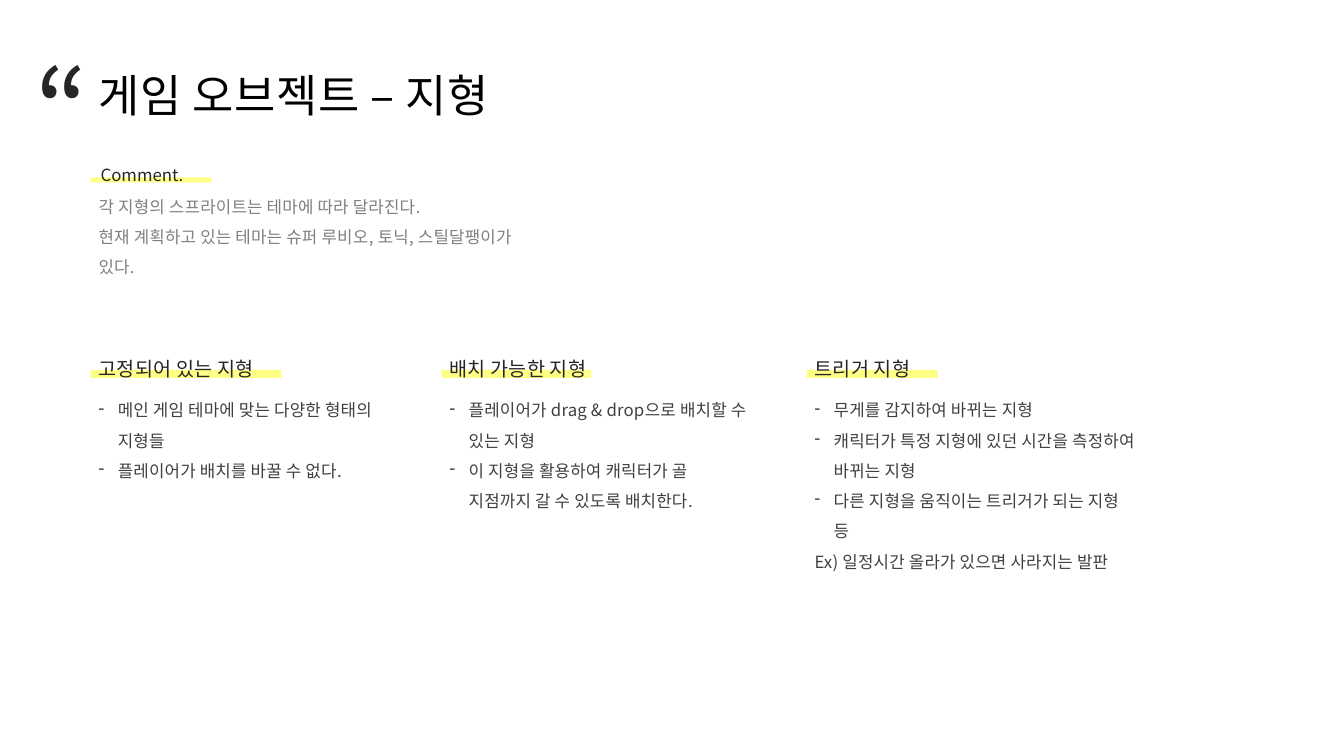
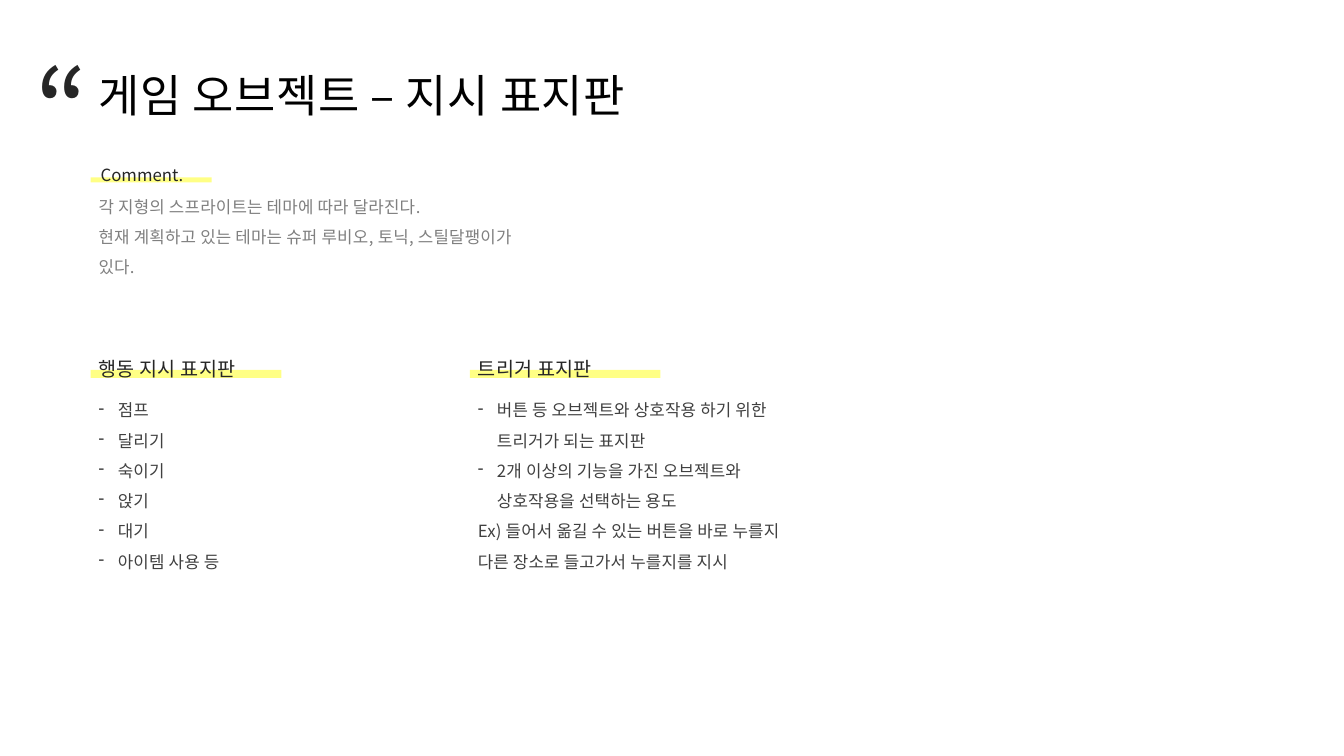
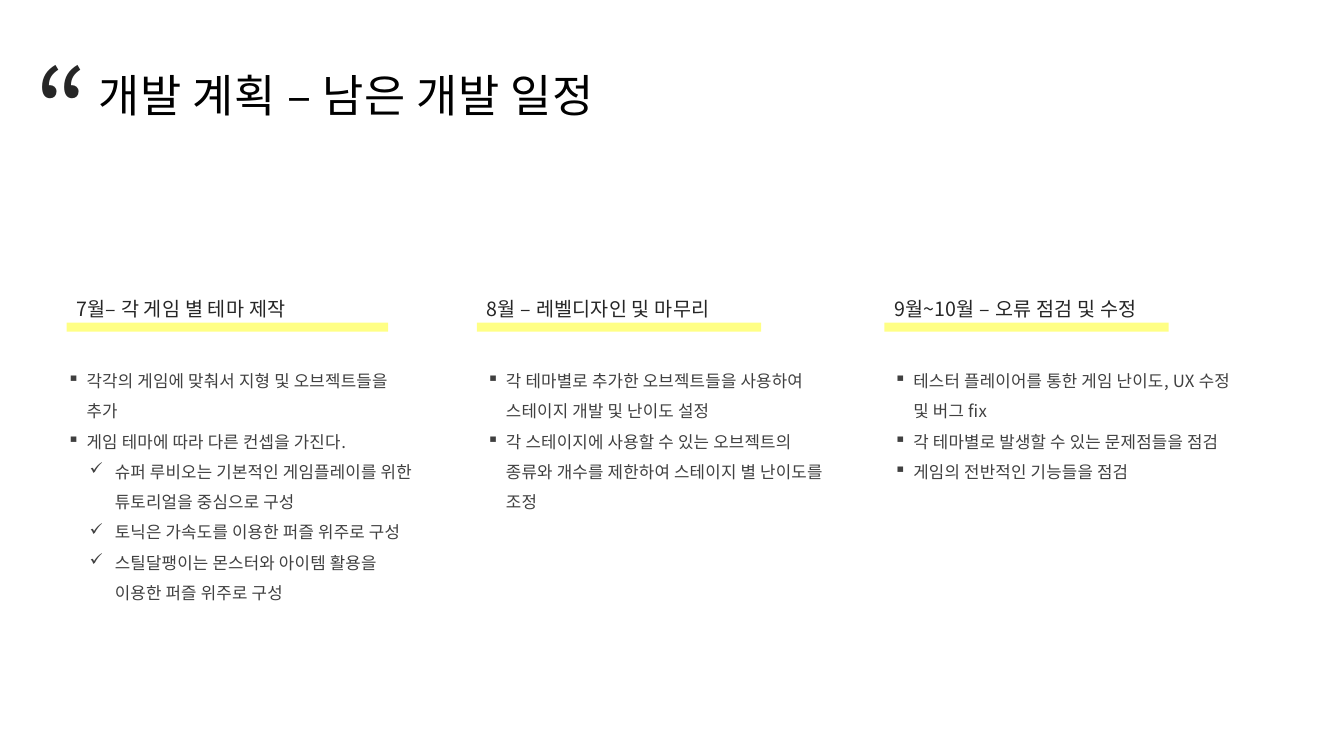
from lxml import etree
from pptx import Presentation
from pptx.dml.color import RGBColor
from pptx.enum.shapes import MSO_SHAPE
from pptx.enum.text import MSO_ANCHOR, MSO_AUTO_SIZE, PP_ALIGN
from pptx.oxml.ns import qn
from pptx.util import Inches, Pt

RECTANGLE = MSO_SHAPE.RECTANGLE
TOP = MSO_ANCHOR.TOP
GROW = MSO_AUTO_SIZE.SHAPE_TO_FIT_TEXT
LEFT = PP_ALIGN.LEFT

FONT = "Noto Sans CJK KR"
BLACK = RGBColor(0x00, 0x00, 0x00)
INK = RGBColor(0x26, 0x26, 0x26)
BODY_GRAY = RGBColor(0x40, 0x40, 0x40)
COMMENT_GRAY = RGBColor(0x80, 0x80, 0x80)
YELLOW = RGBColor(0xFF, 0xFF, 0x00)
BAR_OPACITY = 48000

FRAME_FORMAT = {"word_wrap": True, "auto_size": GROW, "vertical_anchor": TOP}
TITLE_STYLE = {"size": Pt(32), "color": BLACK, "spacing": 1.0, "tracking": 40}
QUOTE_STYLE = {"size": Pt(80), "color": INK, "spacing": 1.0, "tracking": 0}
HEADING_STYLE = {"size": Pt(14), "color": INK, "spacing": 1.5, "tracking": 15}
LABEL_STYLE = {"size": Pt(12), "color": INK, "spacing": 1.5, "tracking": 0}
BODY_STYLE = {"size": Pt(12), "color": BODY_GRAY, "spacing": 1.5, "tracking": 15}
COMMENT_STYLE = {"size": Pt(12), "color": COMMENT_GRAY, "spacing": 1.5, "tracking": 15}

BULLETS = {
    "-": {"level": 0, "margin": 0.19, "hanging": 0.19},
    "▪": {"level": 0, "margin": 0.19, "hanging": 0.19},
    "✓": {"level": 1, "margin": 0.47, "hanging": 0.25},
}

COMMENT_LINES = [
    "각 지형의 스프라이트는 테마에 따라 달라진다.",
    "현재 계획하고 있는 테마는 슈퍼 루비오, 토닉, 스틸달팽이가 있다.",
]

TERRAIN_SECTIONS = [
    {"left": 0.88, "bar_width": 1.89, "body_width": 3.06,
     "heading": "고정되어 있는 지형",
     "items": [("-", "메인 게임 테마에 맞는 다양한 형태의 지형들"),
               ("-", "플레이어가 배치를 바꿀 수 없다.")]},
    {"left": 4.36, "bar_width": 1.48, "body_width": 3.15,
     "heading": "배치 가능한 지형",
     "items": [("-", "플레이어가 drag & drop으로 배치할 수 있는 지형"),
               ("-", "이 지형을 활용하여 캐릭터가 골 지점까지 갈 수 있도록 배치한다.")]},
    {"left": 7.98, "bar_width": 1.3, "body_width": 3.39,
     "heading": "트리거 지형",
     "items": [("-", "무게를 감지하여 바뀌는 지형"),
               ("-", "캐릭터가 특정 지형에 있던 시간을 측정하여 바뀌는 지형"),
               ("-", "다른 지형을 움직이는 트리거가 되는 지형 등"),
               (None, "Ex) 일정시간 올라가 있으면 사라지는 발판")]},
]

SIGN_SECTIONS = [
    {"left": 0.88, "bar_width": 1.89, "body_width": 3.28,
     "heading": "행동 지시 표지판",
     "items": [("-", action) for action in
               ("점프", "달리기", "숙이기", "앉기", "대기", "아이템 사용 등")]},
    {"left": 4.64, "bar_width": 1.89, "body_width": 3.28,
     "heading": "트리거 표지판",
     "items": [("-", "버튼 등 오브젝트와 상호작용 하기 위한 트리거가 되는 표지판"),
               ("-", "2개 이상의 기능을 가진 오브젝트와 상호작용을 선택하는 용도"),
               (None, "Ex) 들어서 옮길 수 있는 버튼을 바로 누를지 "
                      "다른 장소로 들고가서 누를지를 지시")]},
]

MONTH_SECTIONS = [
    {"left": 0.66, "bar_width": 3.19, "body_left": 0.57,
     "heading": "7월– 각 게임 별 테마 제작",
     "items": [("▪", "각각의 게임에 맞춰서 지형 및 오브젝트들을 추가"),
               ("▪", "게임 테마에 따라 다른 컨셉을 가진다."),
               ("✓", "슈퍼 루비오는 기본적인 게임플레이를 위한 튜토리얼을 중심으로 구성"),
               ("✓", "토닉은 가속도를 이용한 퍼즐 위주로 구성"),
               ("✓", "스틸달팽이는 몬스터와 아이템 활용을 이용한 퍼즐 위주로 구성")]},
    {"left": 4.73, "bar_width": 2.82, "body_left": 4.73,
     "heading": "8월 – 레벨디자인 및 마무리",
     "items": [("▪", "각 테마별로 추가한 오브젝트들을 사용하여 "
                     "스테이지 개발 및 난이도 설정"),
               ("▪", "각 스테이지에 사용할 수 있는 오브젝트의 종류와 개수를 "
                     "제한하여 스테이지 별 난이도를 조정")]},
    {"left": 8.77, "bar_width": 2.82, "body_left": 8.77,
     "heading": "9월~10월 – 오류 점검 및 수정",
     "items": [("▪", "테스터 플레이어를 통한 게임 난이도, UX 수정 및 버그 fix"),
               ("▪", "각 테마별로 발생할 수 있는 문제점들을 점검"),
               ("▪", "게임의 전반적인 기능들을 점검")]},
]


def add_bullet(paragraph, mark):
    bullet = BULLETS[mark]
    paragraph.level = bullet["level"]
    properties = paragraph._p.get_or_add_pPr()
    properties.set("marL", str(Inches(bullet["margin"])))
    properties.set("indent", str(-Inches(bullet["hanging"])))
    etree.SubElement(properties, qn("a:buChar")).set("char", mark)


def fill_text(shape, items, style):
    frame = shape.text_frame
    for name, value in FRAME_FORMAT.items():
        setattr(frame, name, value)
    for index, (mark, text) in enumerate(items):
        paragraph = frame.add_paragraph() if index else frame.paragraphs[0]
        paragraph.alignment = LEFT
        paragraph.line_spacing = style["spacing"]
        if mark:
            add_bullet(paragraph, mark)
        run = paragraph.add_run()
        run.text = text
        for name, value in {"name": FONT, "size": style["size"]}.items():
            setattr(run.font, name, value)
        run.font.color.rgb = style["color"]
        properties = run.font._element
        properties.set("spc", str(style["tracking"]))
        etree.SubElement(properties, qn("a:ea")).set("typeface", FONT)


def add_text(slide, box, items, style):
    shape = slide.shapes.add_textbox(*map(Inches, box))
    fill_text(shape, items, style)


def add_highlight(slide, box):
    bar = slide.shapes.add_shape(RECTANGLE, *map(Inches, box))
    bar.shadow.inherit = False
    bar.line.fill.background()
    bar.fill.solid()
    bar.fill.fore_color.rgb = YELLOW
    color = bar._element.spPr.find(qn("a:solidFill"))[0]
    etree.SubElement(color, qn("a:alpha")).set("val", str(BAR_OPACITY))


def add_titled_slide(presentation, title):
    slide = presentation.slides.add_slide(presentation.slide_layouts[5])
    shape = slide.shapes.title
    position = {"left": 0.88, "top": 0.62, "width": 6.58, "height": 0.64}
    for name, value in position.items():
        setattr(shape, name, Inches(value))
    fill_text(shape, [(None, title)], TITLE_STYLE)
    add_text(slide, (0.25, 0.35, 0.83, 1.45), [(None, "“")], QUOTE_STYLE)
    return slide


def add_comment(slide, left, top):
    add_highlight(slide, (left + 0.02, top + 0.27, 1.2, 0.05))
    add_text(slide, (left + 0.02, top, 3.03, 0.37), [(None, "Comment.")], LABEL_STYLE)
    lines = [(None, line) for line in COMMENT_LINES]
    add_text(slide, (left, top + 0.31, 4.63, 0.67), lines, COMMENT_STYLE)


def add_section(slide, section, top, bar_box, body_box):
    add_text(slide, body_box, section["items"], BODY_STYLE)
    add_highlight(slide, bar_box)
    add_text(slide, (section["left"], top, 3.19, 0.42),
             [(None, section["heading"])], HEADING_STYLE)


def add_object_slide(presentation, title, sections):
    slide = add_titled_slide(presentation, title)
    add_comment(slide, 0.88, 1.49)
    top = 3.37
    for section in sections:
        left = section["left"]
        height = 0.1 + 0.3 * len(section["items"])
        add_section(slide, section, top,
                    (left + 0.02, top + 0.3, section["bar_width"], 0.08),
                    (left, top + 0.45, section["body_width"], height))


def add_schedule_slide(presentation, title, sections):
    slide = add_titled_slide(presentation, title)
    top = 2.78
    for section in sections:
        height = 0.1 + 0.3 * len(section["items"])
        add_section(slide, section, top,
                    (section["left"], top + 0.42, section["bar_width"], 0.09),
                    (section["body_left"], top + 0.75, 3.65, height))


def main():
    presentation = Presentation()
    presentation.slide_width = Inches(13.33)
    presentation.slide_height = Inches(7.5)
    add_object_slide(presentation, "게임 오브젝트 – 지형", TERRAIN_SECTIONS)
    add_object_slide(presentation, "게임 오브젝트 – 지시 표지판", SIGN_SECTIONS)
    add_schedule_slide(presentation, "개발 계획 – 남은 개발 일정", MONTH_SECTIONS)
    presentation.save("out.pptx")


if __name__ == "__main__":
    main()
